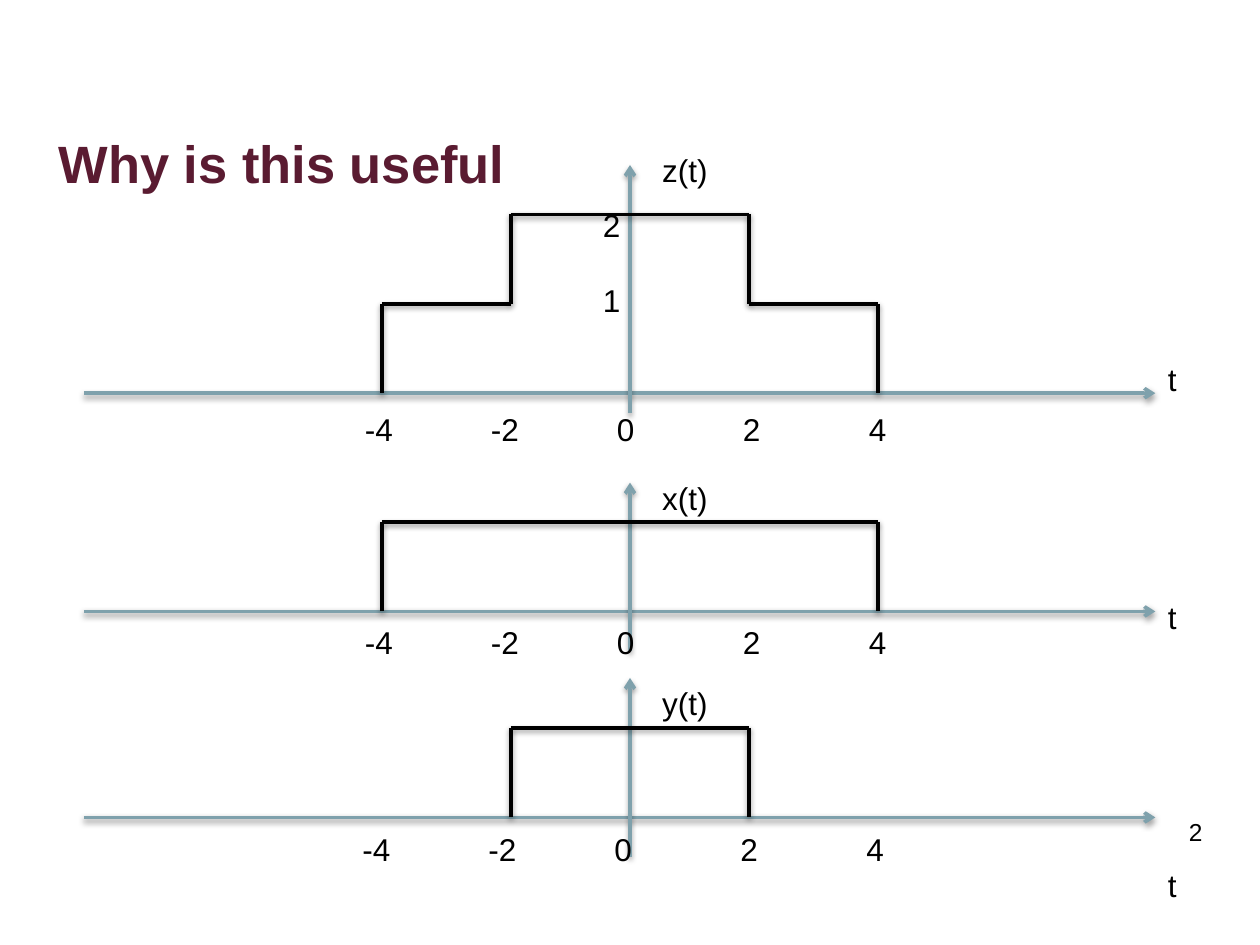
from dataclasses import dataclass
from lxml import etree
from pptx import Presentation
from pptx.dml.color import RGBColor as Rgb
from pptx.enum import shapes, text
from pptx.oxml.ns import qn
from pptx.util import Pt


@dataclass(frozen=True)
class Theme:
    font: str = "Arial"
    title: str = "5A1B31"
    ink: str = "000000"
    axis: str = "7FA1AC"
    head: int = 30
    body: int = 18
    small: int = 14
    line: int = 2


theme = Theme()
deck = Presentation()
deck.slide_width, deck.slide_height = Pt(720), Pt(540)
slide = deck.slides.add_slide(deck.slide_layouts[6])


def label(words, left, top, width, height, size=theme.body, color=theme.ink):
    box = slide.shapes.add_textbox(Pt(left), Pt(top), Pt(width), Pt(height))
    frame = box.text_frame
    frame.word_wrap = True
    frame.text = words
    for para in frame.paragraphs:
        para.font.name = theme.font
        para.font.size = Pt(size)
        para.font.color.rgb = Rgb.from_string(color)
    return frame


def stroke(start, end, color=theme.ink, arrow=False):
    line = slide.shapes.add_connector(
        shapes.MSO_CONNECTOR.STRAIGHT, *map(Pt, start + end))
    line.line.width = Pt(theme.line)
    line.line.color.rgb = Rgb.from_string(color)
    props = line._element.spPr
    if arrow:
        etree.SubElement(props.find(qn("a:ln")), qn("a:tailEnd"), type="arrow")
    effect = etree.SubElement(props, qn("a:effectLst"))
    shade = etree.SubElement(
        effect, qn("a:outerShdw"), blurRad=str(Pt(3.1)), dist=str(Pt(1.6)),
        dir="5400000", rotWithShape="0")
    tint = etree.SubElement(shade, qn("a:srgbClr"), val=theme.ink)
    etree.SubElement(tint, qn("a:alpha"), val="38000")


title = label("Why is this useful", 26.4, 71.3, 668, 102, theme.head, theme.title)
title.paragraphs[0].font.bold = True
page = label("2", 615.2, 463.4, 79, 37, theme.small)
page.paragraphs[0].alignment = text.PP_ALIGN.RIGHT

mid, unit = 360, 51.1
time = {-4: 218.2, -2: 292, 2: 428, 4: 501.8}
wide = [(-4, 0), (-4, 1), (4, 1), (4, 0)]
slim = [(-2, 0), (-2, 1), (2, 1), (2, 0)]
steps = [(-4, 0), (-4, 1), (-2, 1), (-2, 2), (2, 2), (2, 1), (4, 1), (4, 0)]
plots = [
    ("z(t)", steps, 224.7, 94.3, 236.2, 82.8, 202.3, 201.4, 230.7),
    ("x(t)", wide, 349.4, 275.8, 372.2, 270, 338, 201.4, 352.5),
    ("y(t)", slim, 467.1, 387.4, 489.6, 387.4, 491.3, 200, 470.9),
]

for name, wave, base, top, foot, name_y, t_y, tick_x, tick_y in plots:
    stroke((48, base), (660.2, base), theme.axis, True)
    stroke((mid, foot), (mid, top), theme.axis, True)
    dots = [(time[t], base - unit * level) for t, level in wave]
    for start, end in zip(dots, dots[1:]):
        stroke(start, end)
    label("t", 660.3, t_y, 39.6, 29)
    label(name, 371.3, name_y, 51, 29)
    ticks = label("-4\t-2\t0\t2\t4", tick_x, tick_y, 442, 29)
    stops = etree.Element(qn("a:tabLst"))
    for step in range(1, 5):
        etree.SubElement(stops, qn("a:tab"), pos=str(Pt(72 * step)), algn="l")
    ticks.paragraphs[0]._p.get_or_add_pPr().insert(0, stops)

scale = label("2\n1", 337.4, 114.1, 17.5, 72.7)
scale.paragraphs[1].space_before = Pt(21.6)

deck.save("out.pptx")
